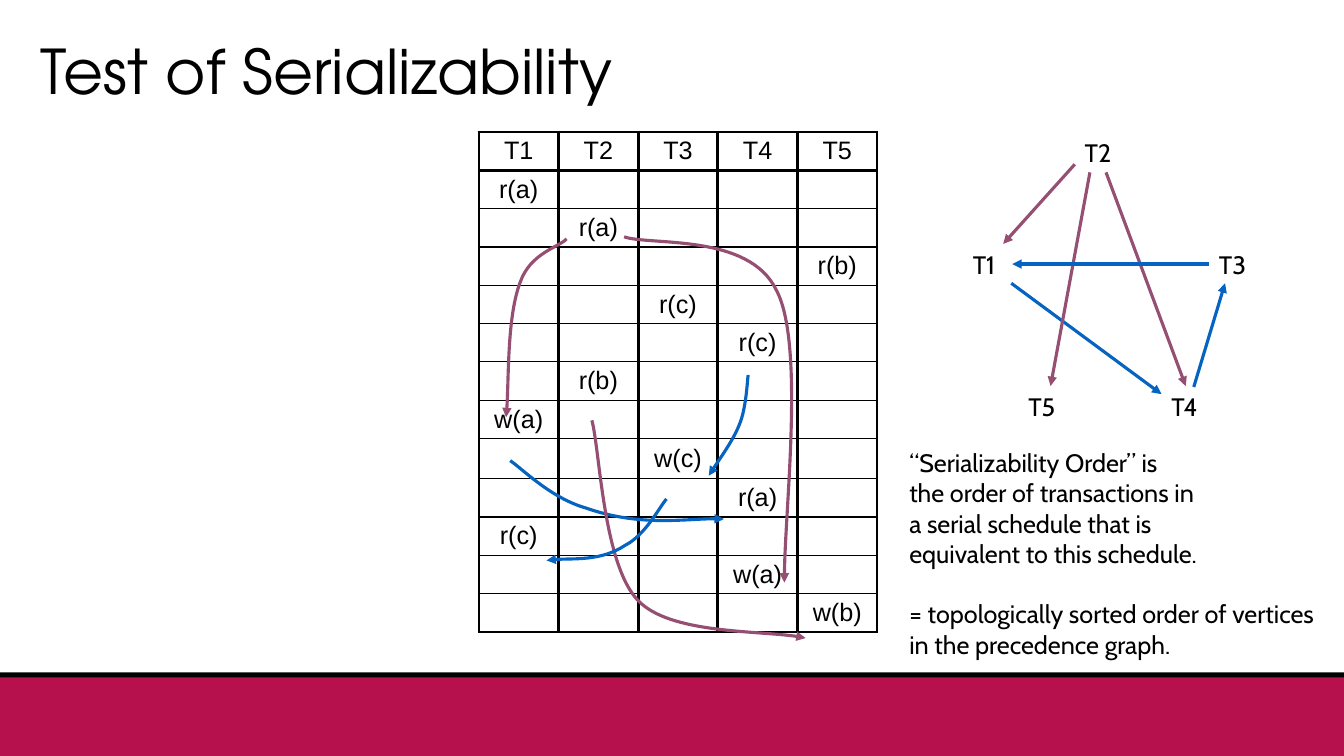
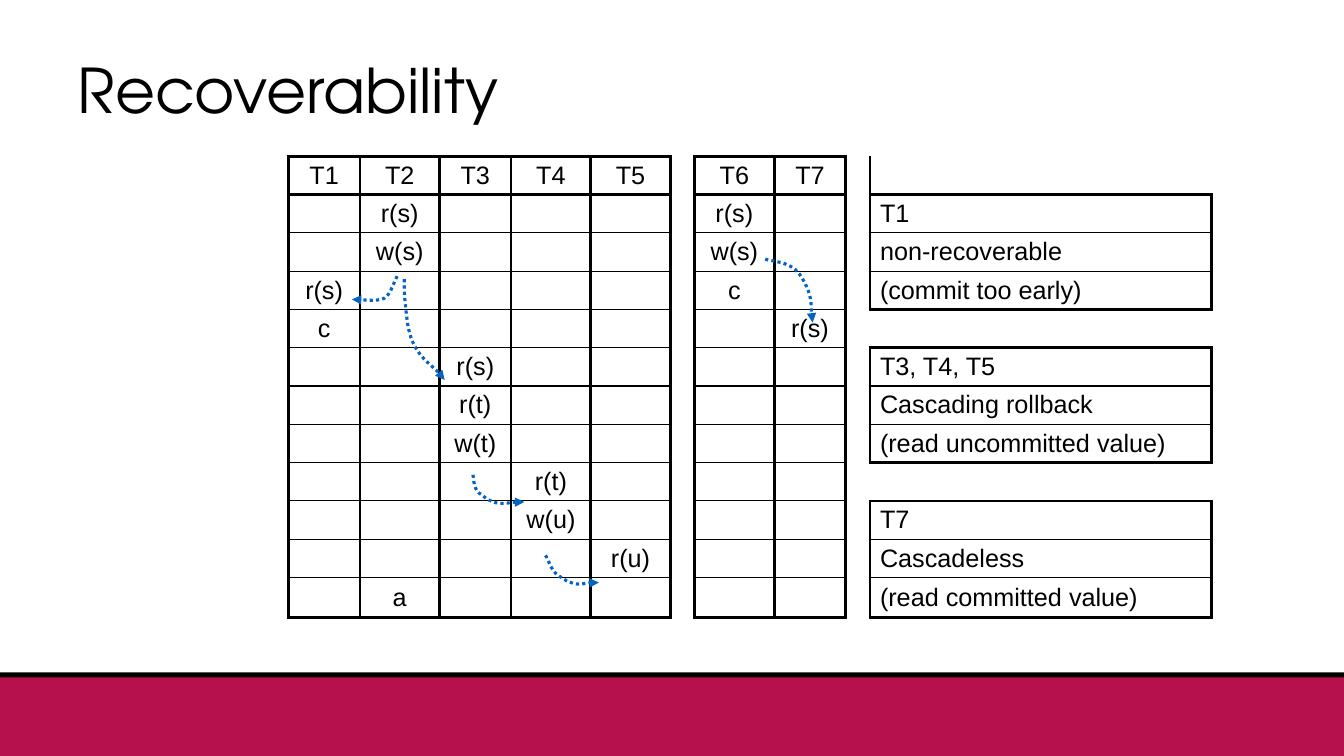
"""Builds two slides on serializability and recoverability of schedules."""
from itertools import product

from lxml.etree import SubElement
from pptx import Presentation
from pptx.dml.color import RGBColor
from pptx.enum.dml import MSO_LINE
from pptx.enum.shapes import MSO_CONNECTOR, MSO_SHAPE
from pptx.enum.text import MSO_ANCHOR, PP_ALIGN
from pptx.oxml import parse_xml
from pptx.oxml.ns import nsdecls, qn
from pptx.util import Pt

PX = 9144
WIDTH, HEIGHT = 1333, 750
BLACK = RGBColor(0x00, 0x00, 0x00)
CRIMSON = RGBColor(0xB6, 0x11, 0x4D)
BLUE = RGBColor(0x05, 0x63, 0xC1)
PLUM = RGBColor(0x95, 0x4F, 0x72)
TITLE_FONT, TABLE_FONT, NOTE_FONT = "TeX Gyre Adventor", "Arial", "Cabin"
NO_GRID_STYLE = "{2D5ABB26-0587-4C30-8999-92F81FD0307C}"
THICK, THIN = Pt(2.25), Pt(1)
SIDES = {"L": (0, -1, "R"), "R": (0, 1, "L"), "T": (-1, 0, "B"), "B": (1, 0, "T")}

TEST_ROWS = [
    {0: "T1", 1: "T2", 2: "T3", 3: "T4", 4: "T5"},
    {0: "r(a)"}, {1: "r(a)"}, {4: "r(b)"}, {2: "r(c)"}, {3: "r(c)"}, {1: "r(b)"},
    {0: "w(a)"}, {2: "w(c)"}, {3: "r(a)"}, {0: "r(c)"}, {3: "w(a)"}, {4: "w(b)"},
]
TEST_CURVES = [
    (PLUM, [(562, 237), (555, 245), (526, 251), (516, 280), (503, 314), (505, 386), (502, 414)]),
    (BLUE, [(506, 457), (518, 465), (546, 494), (581, 504), (635, 523), (689, 513), (718, 515)]),
    (BLUE, [(742, 372), (741, 380), (740, 406), (733, 422), (727, 437), (709, 462), (703, 472)]),
    (PLUM, [(587, 417), (595, 446), (598, 560), (633, 596), (665, 629), (764, 625), (799, 633)]),
    (PLUM, [(619, 235), (644, 244), (743, 231), (770, 288), (798, 340), (777, 517), (778, 578)]),
    (BLUE, [(661, 495), (654, 503), (640, 531), (620, 541), (596, 557), (558, 553), (542, 556)]),
]
VERTICES = {"T1": (955, 242), "T2": (1066, 131), "T3": (1199, 242),
            "T4": (1152, 383), "T5": (1010, 383)}
PRECEDENCES = [
    (BLUE, (1003, 281), (1152, 391)),
    (PLUM, (1066, 163), (995, 242)),
    (PLUM, (1097, 171), (1176, 383)),
    (PLUM, (1081, 171), (1042, 383)),
    (BLUE, (1184, 384), (1215, 281)),
    (BLUE, (1199, 262), (1004, 262)),
]
ORDER_NOTE = [
    "“Serializability Order” is",
    "the order of transactions in",
    "a serial schedule that is",
    "equivalent to this schedule.",
    "= topologically sorted order of vertices in the precedence graph.",
]
RECOVERY_ROWS = [
    {0: "T1", 1: "T2", 2: "T3", 3: "T4", 4: "T5", 6: "T6", 7: "T7"},
    {1: "r(s)", 6: "r(s)", 9: "T1"},
    {1: "w(s)", 6: "w(s)", 9: "non-recoverable"},
    {0: "r(s)", 6: "c", 9: "(commit too early)"},
    {0: "c", 7: "r(s)"},
    {2: "r(s)", 9: "T3, T4, T5"},
    {2: "r(t)", 9: "Cascading rollback"},
    {2: "w(t)", 9: "(read uncommitted value)"},
    {3: "r(t)"},
    {3: "w(u)", 9: "T7"},
    {4: "r(u)", 9: "Cascadeless"},
    {1: "a", 9: "(read committed value)"},
]
RECOVERY_COLUMNS = [71, 79, 71, 79, 79, 24, 79, 71, 24, 339]
NOTE_COLUMN = 9
RECOVERY_CURVES = [
    [(394, 274), (391, 278), (388, 292), (381, 296), (373, 299), (356, 297), (349, 297)],
    [(401, 277), (401, 284), (400, 288), (404, 319), (408, 351), (434, 365), (441, 377)],
    [(469, 471), (470, 474), (469, 487), (478, 491), (491, 503), (511, 497), (520, 498)],
    [(541, 551), (544, 554), (546, 566), (554, 571), (570, 583), (585, 577), (594, 578)],
    [(759, 257), (765, 260), (785, 258), (795, 275), (806, 293), (804, 311), (806, 320)],
]


def px(*lengths):
    """Turn px lengths into EMU."""
    return [length * PX for length in lengths]


def style_paragraph(paragraph, font_name, size=18):
    """Give every run of a paragraph its font, size and colour."""
    for run in paragraph.runs:
        run.font.name = font_name
        run.font.size = Pt(size)
        run.font.color.rgb = BLACK


def add_bands(slide):
    """Put the footer bands on the layout that the slides share."""
    for position, (top, colour) in enumerate([(667, BLACK), (672, CRIMSON)], start=2):
        band = slide.shapes.add_shape(MSO_SHAPE.RECTANGLE, *px(0, top, WIDTH, HEIGHT - top))
        band.shadow.inherit = False
        band.fill.solid()
        band.fill.fore_color.rgb = colour
        band.line.fill.background()
        slide.slide_layout.shapes._spTree.insert(position, band._element)


def add_titled_slide(deck, heading, left, top):
    """Add a slide with its heading in the title placeholder."""
    slide = deck.slides.add_slide(deck.slide_layouts[5])
    title = slide.shapes.title
    title.left, title.top, title.width, title.height = px(left, top, 1200, 125)
    title.text_frame.text = heading
    title.text_frame.vertical_anchor = MSO_ANCHOR.MIDDLE
    paragraph = title.text_frame.paragraphs[0]
    paragraph.alignment = PP_ALIGN.LEFT
    paragraph.line_spacing = 0.9
    style_paragraph(paragraph, TITLE_FONT, 44)
    return slide


def add_note(slide, lines, left, top, width, height, wrap=True):
    """Add a text box with one paragraph for each line and return its text frame."""
    frame = slide.shapes.add_textbox(*px(left, top, width, height)).text_frame
    frame.word_wrap = wrap
    frame.text = "\n".join(lines)
    for paragraph in frame.paragraphs:
        style_paragraph(paragraph, NOTE_FONT)
    return frame


def finish_arrow(arrow, colour):
    """Colour an arrow and give its end a triangular head."""
    arrow.line.color.rgb = colour
    arrow.line.width = THICK
    outline = arrow._element.spPr.find(qn("a:ln"))
    SubElement(outline, qn("a:tailEnd"), type="triangle")


def add_straight_arrow(slide, colour, start, end):
    """Add a straight arrow between two points."""
    arrow = slide.shapes.add_connector(MSO_CONNECTOR.STRAIGHT, *px(*start, *end))
    finish_arrow(arrow, colour)
    SubElement(arrow._element.spPr, qn("a:effectLst"))


def add_curved_arrow(slide, colour, points, dash=None):
    """Add an arrow along Bezier curves, three points for each curve."""
    builder = slide.shapes.build_freeform(*points[0], scale=PX)
    builder.add_line_segments(points[1:], close=False)
    arrow = builder.convert_to_shape()
    arrow.shadow.inherit = False
    arrow.fill.background()
    if dash:
        arrow.line.dash_style = dash
    finish_arrow(arrow, colour)
    segments = list(arrow._element.iter(qn("a:lnTo")))
    for first, second, third in zip(segments[::3], segments[1::3], segments[2::3]):
        curve = SubElement(first.getparent(), qn("a:cubicBezTo"))
        for segment in (first, second, third):
            curve.append(segment[0])
            segment.getparent().remove(segment)


def block_borders(blocks):
    """Map (row, column, side) to a border width, on both cells that share an edge."""
    borders = {}
    for top, left, bottom, right, has_header in blocks:
        thick_edges = {top, bottom + 1} | ({top + 1} if has_header else set())
        for row, column in product(range(top, bottom + 1), range(left, right + 1)):
            widths = {"L": THICK, "R": THICK,
                      "T": THICK if row in thick_edges else THIN,
                      "B": THICK if row + 1 in thick_edges else THIN}
            for side, (down, across, opposite) in SIDES.items():
                borders[row, column, side] = widths[side]
                borders[row + down, column + across, opposite] = widths[side]
    return borders


def draw_borders(cell, widths):
    """Draw the borders of a cell from its widths by side."""
    for position, (side, width) in enumerate(widths.items()):
        cell._tc.get_or_add_tcPr().insert(position, parse_xml(
            f'<a:ln{side} {nsdecls("a")} w="{width}"><a:solidFill>'
            f'<a:srgbClr val="{BLACK}"/></a:solidFill></a:ln{side}>'))


def add_schedule(slide, left, top, rows, columns, tall_row, blocks, merges=()):
    """Add a table of operations, framed block by block."""
    heights = [40 if row == tall_row else 38 for row in range(len(rows))]
    table = slide.shapes.add_table(
        len(rows), len(columns), *px(left, top, sum(columns), sum(heights))).table
    table.first_row = table.horz_banding = False
    table._tbl.tblPr.find(qn("a:tableStyleId")).text = NO_GRID_STYLE
    for column, width in zip(table.columns, px(*columns)):
        column.width = width
    for row, height in zip(table.rows, px(*heights)):
        row.height = height
    for start, end in merges:
        table.cell(*start).merge(table.cell(*end))
    borders = block_borders(blocks)
    for row, column in product(range(len(rows)), range(len(columns))):
        cell = table.cell(row, column)
        cell.fill.background()
        cell.margin_top = cell.margin_bottom = 3 * PX
        cell.vertical_anchor = MSO_ANCHOR.MIDDLE
        if cell.is_spanned:
            continue
        draw_borders(cell, {side: borders[row, column, side] for side in SIDES
                            if (row, column, side) in borders})
        if column in rows[row]:
            cell.text_frame.text = rows[row][column]
            paragraph = cell.text_frame.paragraphs[0]
            paragraph.alignment = PP_ALIGN.LEFT if column == NOTE_COLUMN else PP_ALIGN.CENTER
            style_paragraph(paragraph, TABLE_FONT)


def build_serializability(deck):
    """Build the slide with a schedule and its precedence graph."""
    slide = add_titled_slide(deck, "Test of Serializability", 30, 11)
    add_bands(slide)
    add_schedule(slide, 475, 131, TEST_ROWS, [79] * 5, 8, [(0, 0, 12, 4, True)])
    for vertex, (left, top) in VERTICES.items():
        add_note(slide, [vertex], left, top, 48, 40, wrap=False)
    for colour, start, end in PRECEDENCES:
        add_straight_arrow(slide, colour, start, end)
    order = add_note(slide, ORDER_NOTE, 892, 439, 441, 220)
    order.paragraphs[-1].space_before = Pt(21.6)
    for colour, points in TEST_CURVES:
        add_curved_arrow(slide, colour, points)


def build_recoverability(deck):
    """Build the slide with two schedules and notes on their rollback."""
    slide = add_titled_slide(deck, "Recoverability", 67, 30)
    notes = [(top, NOTE_COLUMN, top + 2, NOTE_COLUMN, False) for top in (1, 5, 9)]
    add_schedule(slide, 286, 155, RECOVERY_ROWS, RECOVERY_COLUMNS, 11,
                 [(0, 0, 11, 4, True), (0, 6, 11, 7, True), *notes],
                 merges=[((0, 8), (3, 8)), ((4, 8), (4, 9)), ((8, 8), (8, 9))])
    for points in RECOVERY_CURVES:
        add_curved_arrow(slide, BLUE, points, MSO_LINE.ROUND_DOT)


def main():
    """Build and save the presentation."""
    deck = Presentation()
    deck.slide_width, deck.slide_height = px(WIDTH, HEIGHT)
    build_serializability(deck)
    build_recoverability(deck)
    deck.save("out.pptx")


if __name__ == "__main__":
    main()
